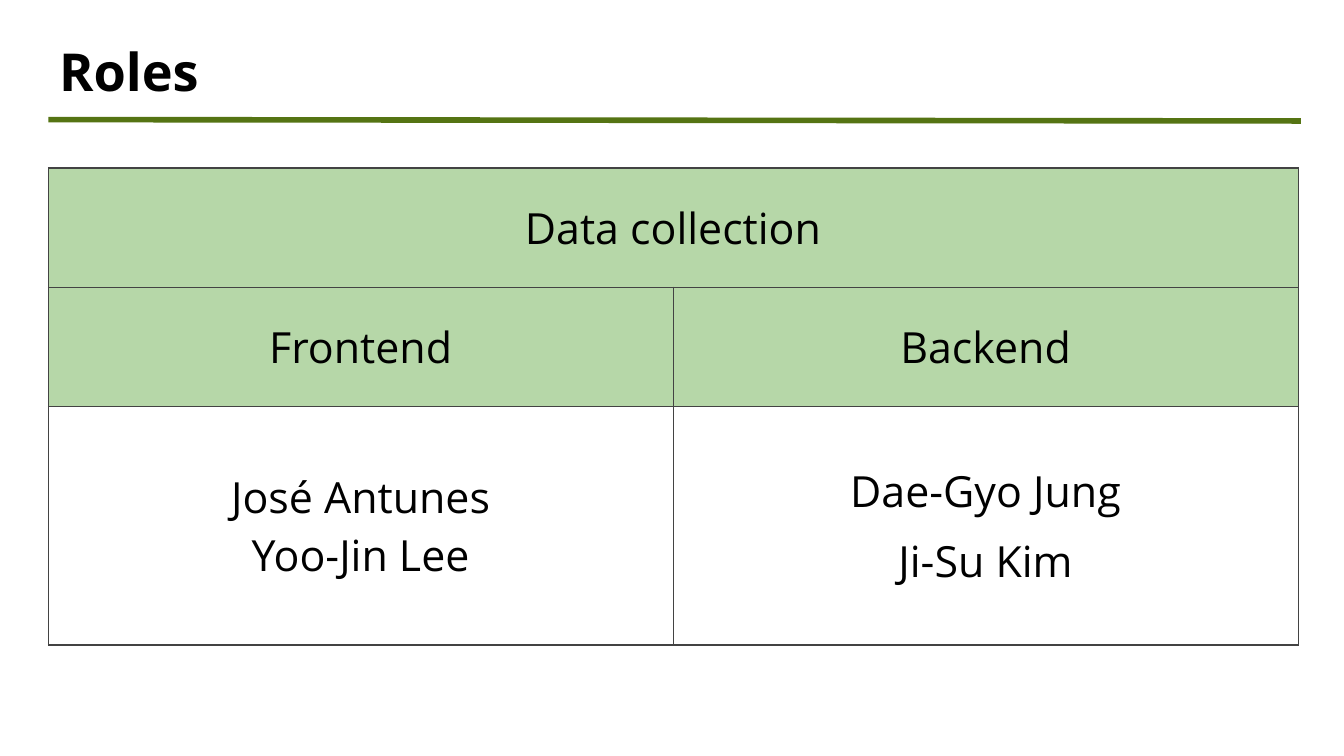
from pptx import Presentation
from pptx.dml.color import RGBColor
from pptx.enum.shapes import MSO_CONNECTOR as Link
from pptx.enum.text import MSO_ANCHOR as Anchor, PP_ALIGN as Align
from pptx.oxml import parse_xml
from pptx.oxml.ns import nsdecls
from pptx.util import Inches, Pt

FONT = "Open Sans"
BLACK = RGBColor(0x00, 0x00, 0x00)
OLIVE = RGBColor(0x55, 0x74, 0x13)
GREEN = RGBColor(0xB6, 0xD7, 0xA8)
GRAY = RGBColor(0x43, 0x43, 0x43)
PAD = Inches(0.1)


def style(para, size, bold=False):
    for run in para.runs:
        font = run.font
        font.name, font.size, font.bold = FONT, Pt(size), bold
        font.color.rgb = BLACK


def pad(box):
    box.margin_left = box.margin_right = PAD
    box.margin_top = box.margin_bottom = PAD
    box.vertical_anchor = Anchor.MIDDLE


def add_border(cell):
    props = cell._tc.get_or_add_tcPr()
    for i, side in enumerate(("lnL", "lnR", "lnT", "lnB")):
        props.insert(i, parse_xml(
            f'<a:{side} {nsdecls("a")} w="{Pt(0.75)}"><a:solidFill>'
            f'<a:srgbClr val="{GRAY}"/></a:solidFill></a:{side}>'))


def add_head(slide, left, top, width, height):
    # Title
    title = slide.shapes.title
    title.left, title.top = Inches(left), Inches(top)
    title.width, title.height = Inches(width), Inches(height)
    frame = title.text_frame
    frame.text = "Roles"
    frame.word_wrap = True
    pad(frame)
    para = frame.paragraphs[0]
    para.alignment = Align.LEFT
    para.line_spacing = 0.9
    style(para, 28, bold=True)

    # Rule under the title
    base = top + height + 0.02
    rule = slide.shapes.add_connector(
        Link.STRAIGHT, Inches(left + 0.02), Inches(base),
        Inches(left + width + 0.02), Inches(base + 0.01))
    rule.line.color.rgb = OLIVE
    rule.line.width = Pt(3)
    rule._element.spPr.append(parse_xml(f'<a:effectLst {nsdecls("a")}/>'))


def add_roles(slide, left, top, width, height):
    table = slide.shapes.add_table(
        4, 2, Inches(left), Inches(top), Inches(width), Inches(height)).table
    for col in table.columns:
        col.width = Inches(width / 2)
    for row in table.rows:
        row.height = Inches(height / 4)

    # Fills and borders
    for i, row in enumerate(table.rows):
        for cell in row.cells:
            if i < 2:
                cell.fill.solid()
                cell.fill.fore_color.rgb = GREEN
            else:
                cell.fill.background()
            add_border(cell)

    # Merged cells
    table.cell(0, 0).merge(table.cell(0, 1))
    for col in range(2):
        table.cell(2, col).merge(table.cell(3, col))

    # Text
    texts = {
        (0, 0): "Data collection",
        (1, 0): "Frontend",
        (1, 1): "Backend",
        (2, 0): "José Antunes\nYoo-Jin Lee",
        (2, 1): "Dae-Gyo Jung\nJi-Su Kim",
    }
    for place, text in texts.items():
        cell = table.cell(*place)
        cell.text_frame.text = text
        pad(cell)
        for para in cell.text_frame.paragraphs:
            para.alignment = Align.CENTER
            style(para, 23)
    table.cell(2, 1).text_frame.paragraphs[1].line_spacing = 1.2


def main():
    deck = Presentation()
    deck.slide_width = Inches(10)
    deck.slide_height = deck.slide_width * 9 // 16
    slide = deck.slides.add_slide(deck.slide_layouts[5])
    add_head(slide, 0.34, 0.24, 9.32, 0.63)
    add_roles(slide, 0.36, 1.25, 9.3, 3.55)
    deck.save("out.pptx")


if __name__ == "__main__":
    main()
